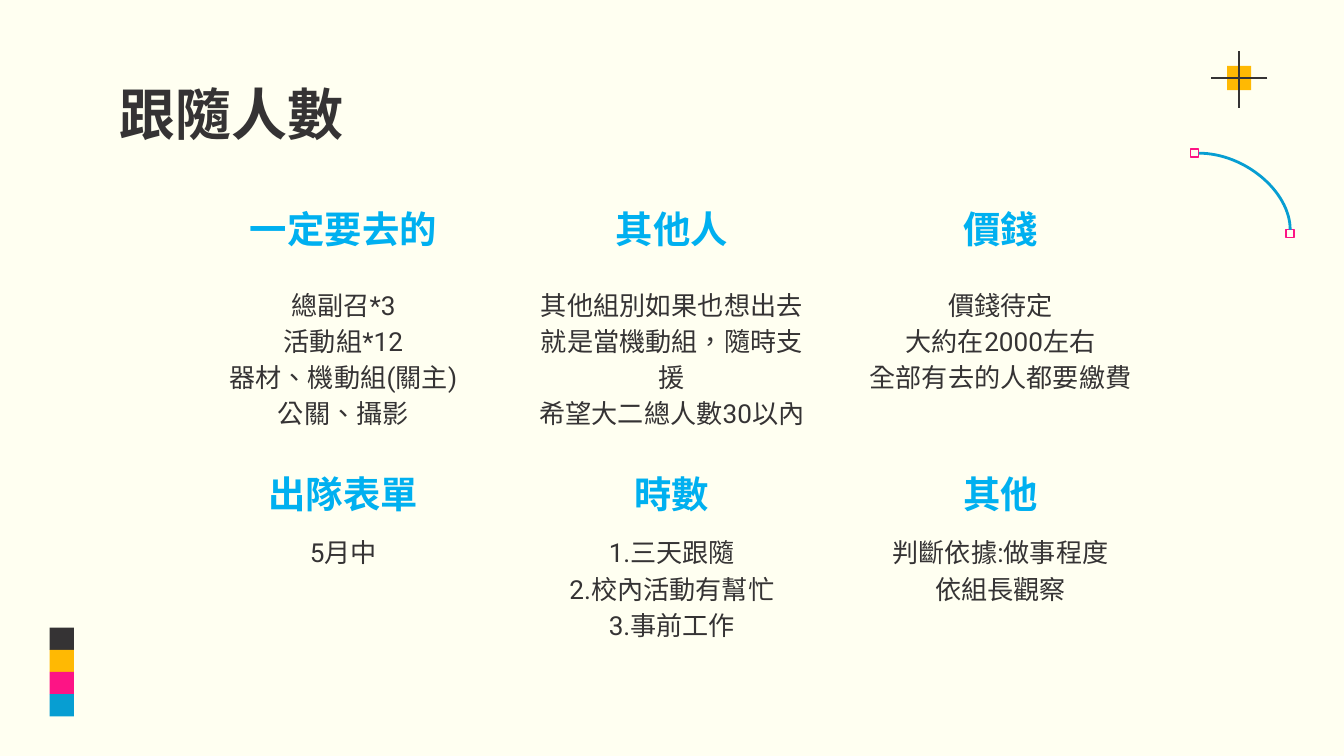
"""Build the slide on how many people follow along."""
from dataclasses import dataclass

from lxml import etree
from pptx import Presentation
from pptx.dml.color import RGBColor
from pptx.enum.lang import MSO_LANGUAGE_ID
from pptx.enum.shapes import MSO_CONNECTOR, MSO_SHAPE
from pptx.enum.text import MSO_ANCHOR, MSO_AUTO_SIZE, PP_ALIGN
from pptx.oxml.ns import qn
from pptx.util import Inches, Pt

RECT = MSO_SHAPE.RECTANGLE
STRAIGHT, CURVE = MSO_CONNECTOR.STRAIGHT, MSO_CONNECTOR.CURVE
TOP, BOTTOM = MSO_ANCHOR.TOP, MSO_ANCHOR.BOTTOM
LEFT, CENTER = PP_ALIGN.LEFT, PP_ALIGN.CENTER
NO_FIT = MSO_AUTO_SIZE.NONE
CHINESE = MSO_LANGUAGE_ID.TRADITIONAL_CHINESE

COLORS = {
    "paper": "FFFFF1",
    "ink": "353334",
    "gold": "FFB903",
    "pink": "FD1485",
    "blue": "079ED2",
    "sky": "00B0F0",
}


@dataclass
class Style:
    font: str
    size: int
    color: str
    bold: bool
    align: PP_ALIGN
    anchor: MSO_ANCHOR
    space: float


@dataclass
class Card:
    head: str
    body: str


@dataclass
class Row:
    top: float
    gap: float
    height: float
    cards: list[Card]


TITLE = Style("Arial", 30, "ink", True, LEFT, TOP, 1.0)
HEAD = Style("Arial", 20, "sky", True, CENTER, BOTTOM, 1.15)
BODY = Style("Roboto", 14, "ink", False, CENTER, TOP, 1.15)

ROWS = [
    Row(1.42, 0.6, 1.37, [
        Card("一定要去的", "總副召*3\v活動組*12\v器材、機動組(關主)\n公關、攝影"),
        Card("其他人", "其他組別如果也想出去\v就是當機動組，隨時支援\v希望大二總人數30以內"),
        Card("價錢", "價錢待定\v大約在2000左右\v全部有去的人都要繳費"),
    ]),
    Row(3.39, 0.47, 1.02, [
        Card("出隊表單", "5月中"),
        Card("時數", "1.三天跟隨\n2.校內活動有幫忙\n3.事前工作"),
        Card("其他", "判斷依據:做事程度\v依組長觀察"),
    ]),
]


def rgb(name: str) -> RGBColor:
    """Look up a colour."""
    return RGBColor.from_string(COLORS[name])


def write(shape, text: str, style: Style) -> None:
    """Fill a shape with styled text."""
    frame = shape.text_frame
    frame.word_wrap = True
    frame.auto_size = NO_FIT
    frame.vertical_anchor = style.anchor
    frame.margin_left = frame.margin_right = Inches(0.1)
    frame.margin_top = frame.margin_bottom = Inches(0.1)
    frame.text = text
    for para in frame.paragraphs:
        para.alignment = style.align
        para.line_spacing = style.space
        para.space_before = Pt(0)
        para.font.name = style.font
        para.font.size = Pt(style.size)
        para.font.bold = style.bold
        para.font.color.rgb = rgb(style.color)
        for run in para.runs:
            run.font.language_id = CHINESE


def label(slide, x: float, y: float, w: float, h: float, text: str, style: Style) -> None:
    """Add a text box."""
    box = slide.shapes.add_textbox(Inches(x), Inches(y), Inches(w), Inches(h))
    write(box, text, style)


def block(slide, x: float, y: float, w: float, h: float, color: str, hollow: bool = False) -> None:
    """Add a filled or an outlined rectangle."""
    shape = slide.shapes.add_shape(RECT, Inches(x), Inches(y), Inches(w), Inches(h))
    shape.shadow.inherit = False
    if hollow:
        shape.fill.background()
        shape.line.color.rgb = rgb(color)
        shape.line.width = Pt(0.75)
    else:
        shape.fill.solid()
        shape.fill.fore_color.rgb = rgb(color)
        shape.line.fill.background()


def stroke(slide, kind: MSO_CONNECTOR, x1: float, y1: float, x2: float, y2: float,
           color: str, width: float):
    """Add a connector without a shadow."""
    line = slide.shapes.add_connector(kind, Inches(x1), Inches(y1), Inches(x2), Inches(y2))
    line.line.color.rgb = rgb(color)
    line.line.width = Pt(width)
    etree.SubElement(line._element.spPr, qn("a:effectLst"))
    return line


def decorate(slide) -> None:
    """Draw the cross, the swatches and the arc."""
    block(slide, 9.13, 0.49, 0.18, 0.18, "gold")
    stroke(slide, STRAIGHT, 9.22, 0.38, 9.22, 0.8, "ink", 0.75)
    stroke(slide, STRAIGHT, 9.43, 0.58, 9.01, 0.58, "ink", 0.75)

    side = 0.66 / 4
    for i, color in enumerate(["ink", "gold", "pink", "blue"]):
        block(slide, 0.37, 4.67 + i * side, 0.18, side, color)

    for x, y in [(9.57, 1.71), (8.86, 1.11)]:
        block(slide, x, y, 0.06, 0.06, "pink", hollow=True)
    arc = stroke(slide, CURVE, 8.92, 1.14, 9.6, 1.71, "blue", 1.5)
    arc._element.spPr.find(qn("a:prstGeom")).set("prst", "curvedConnector2")


def main() -> None:
    """Build and save the slide."""
    deck = Presentation()
    deck.slide_width, deck.slide_height = Inches(10), Inches(10 * 9 / 16)
    slide = deck.slides.add_slide(deck.slide_layouts[5])
    slide.background.fill.solid()
    slide.background.fill.fore_color.rgb = rgb("paper")
    decorate(slide)

    title = slide.shapes.title
    title.left, title.top = Inches(0.79), Inches(0.49)
    title.width, title.height = Inches(8.43), Inches(0.63)
    write(title, "跟隨人數", TITLE)

    for row in ROWS:
        for i, card in enumerate(row.cards):
            x = 1.45 + i * 4.89 / 2
            label(slide, x, row.top, 2.21, 0.55, card.head, HEAD)
            label(slide, x, row.top + row.gap, 2.21, row.height, card.body, BODY)

    deck.save("out.pptx")


if __name__ == "__main__":
    main()
